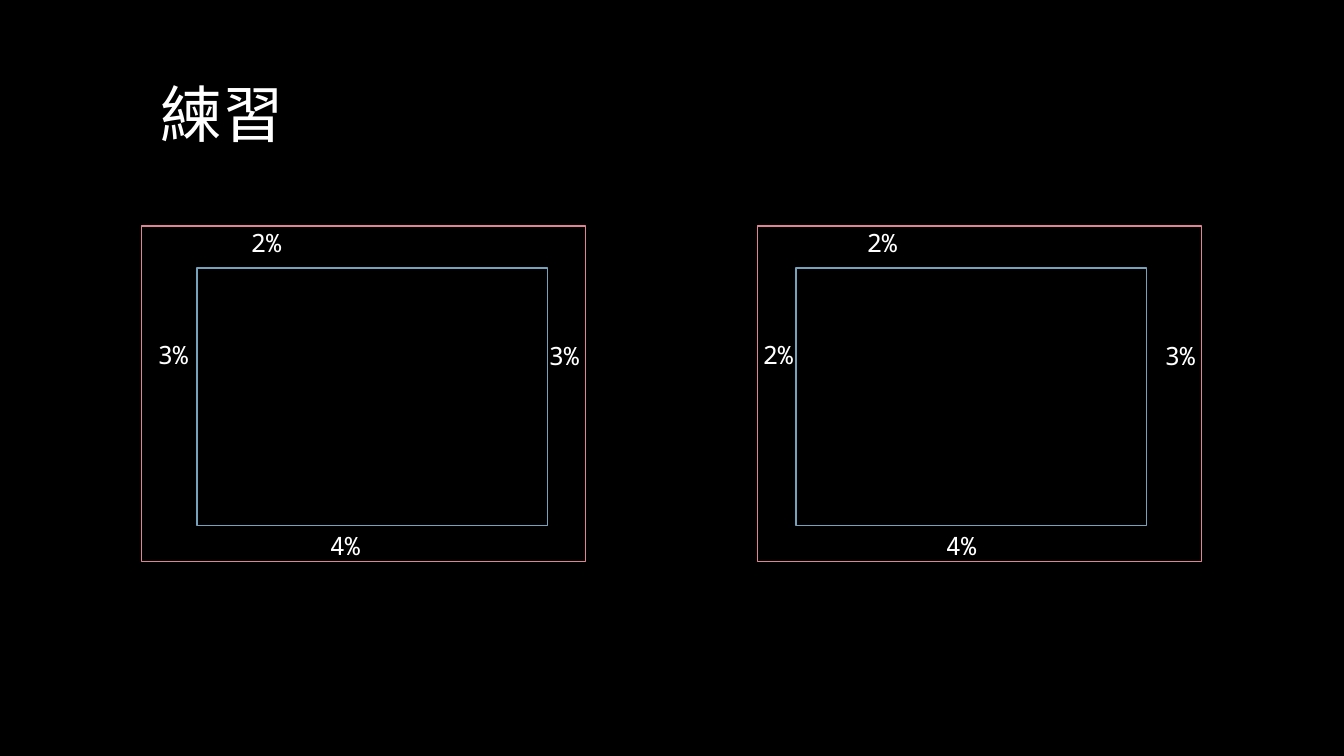
from dataclasses import dataclass

import pptx
import pptx.dml.color
import pptx.enum.shapes
import pptx.enum.text
import pptx.util

PX = 12700 * 72 / 100.8  # EMU per px


@dataclass(frozen=True)
class Theme:
    font: str = "Noto Sans Mono"
    back: str = "000000"
    text: str = "FFFFFF"
    outer: str = "E28394"
    inner: str = "77A2BB"
    title_size: int = 44
    label_size: int = 18
    line_width: float = 0.75


THEME = Theme()


def px(*lengths):
    return [pptx.util.Emu(round(n * PX)) for n in lengths]


def rgb(code):
    return pptx.dml.color.RGBColor.from_string(code)


def add_text(s, box, text, size, spacing=None):
    tf = s.shapes.add_textbox(*px(*box)).text_frame
    tf.word_wrap = True
    tf.vertical_anchor = pptx.enum.text.MSO_ANCHOR.TOP
    p = tf.paragraphs[0]
    if spacing:
        p.line_spacing = spacing
    r = p.add_run()
    r.text = text
    r.font.name = THEME.font
    r.font.size = pptx.util.Pt(size)
    r.font.color.rgb = rgb(THEME.text)
    return tf


def add_frame(s, box, color):
    sp = s.shapes.add_shape(pptx.enum.shapes.MSO_SHAPE.RECTANGLE, *px(*box))
    sp.shadow.inherit = False
    sp.fill.background()
    sp.line.color.rgb = rgb(color)
    sp.line.width = pptx.util.Pt(THEME.line_width)


def add_title(s, box, text):
    tf = add_text(s, box, text, THEME.title_size, spacing=0.89)
    tf.vertical_anchor = pptx.enum.text.MSO_ANCHOR.MIDDLE


def add_margin_diagram(s, box, inner_left, left_label):
    """Outer and inner frames; left_label is (text, x offset)."""
    x, y, w, h = box
    add_frame(s, box, THEME.outer)
    add_frame(s, (x + inner_left, y + 42, 351, 258), THEME.inner)

    # Margin labels: top, left, right, bottom
    left_text, left_x = left_label
    labels = [
        ("2%", 99, -4),
        (left_text, left_x, 108),
        ("3%", w - 47, 109),
        ("4%", 178, h - 37),
    ]
    for text, dx, dy in labels:
        add_text(s, (x + dx, y + dy, 58, 40), text, THEME.label_size)


def main():
    prs = pptx.Presentation()
    prs.slide_width, prs.slide_height = px(1344, 756)
    s = prs.slides.add_slide(prs.slide_layouts[6])
    s.background.fill.solid()
    s.background.fill.fore_color.rgb = rgb(THEME.back)

    # Title
    add_title(s, (151, 76, 1058, 83), "練習")

    # Two diagrams side by side
    add_margin_diagram(s, (142, 226, 444, 336), 55, ("3%", 6))
    add_margin_diagram(s, (758, 226, 444, 336), 38, ("2%", -5))

    prs.save("out.pptx")


if __name__ == "__main__":
    main()
